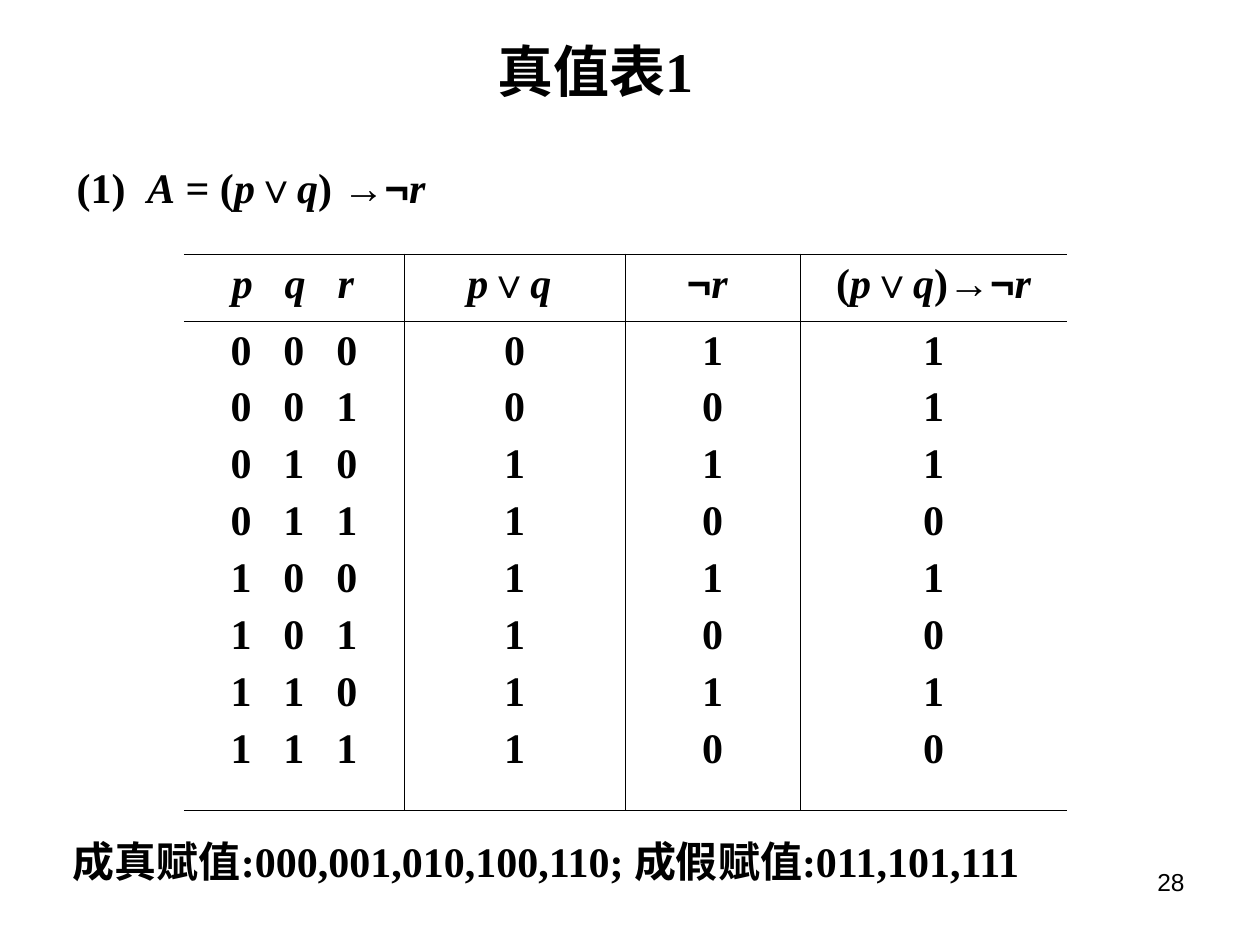
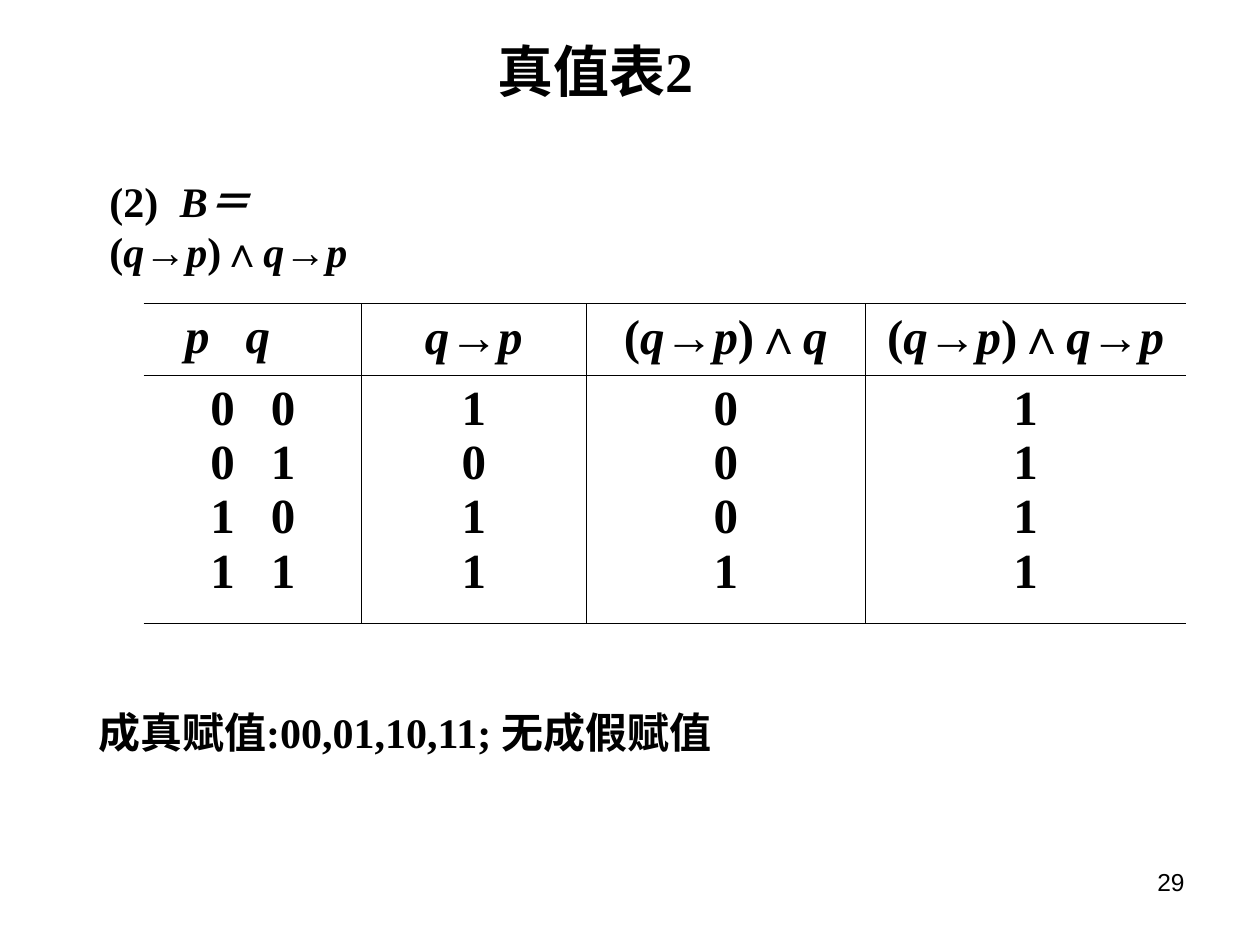
from itertools import groupby

from lxml import etree
from pptx import Presentation
from pptx.dml.color import RGBColor
from pptx.enum.text import MSO_ANCHOR, MSO_AUTO_SIZE, PP_ALIGN
from pptx.oxml.ns import qn
from pptx.util import Inches, Pt

LEFT, CENTER, RIGHT = PP_ALIGN.LEFT, PP_ALIGN.CENTER, PP_ALIGN.RIGHT
MIDDLE, TOP = MSO_ANCHOR.MIDDLE, MSO_ANCHOR.TOP
NO_AUTOFIT = MSO_AUTO_SIZE.NONE

COLORS = {"text": "000000", "rule": "000000"}
SERIF, SANS = "Times New Roman", "Arial"
OPERATORS = "∨∧→¬"
VARIABLES = "ABpqr＝"
TITLE_ONLY = 5
FIRST_NUMBER = 28
THIN, THICK = 0.45, 1.08

TITLE_BOX = (3.85, 0.24, 2.1, 0.64)
NUMBER_BOX = (7.17, 6.83, 2.33, 0.52)
FORMULA_TAB = 0.56

# Each row: the assignment of the variables, then the value of every formula.
SLIDES = [
    {
        "title": "真值表1",
        "formula": "(1)\tA = (p∨q) →¬r",
        "formula_box": (0.51, 1.23, 8.5, 0.5),
        "result": "成真赋值:000,001,010,100,110; 成假赋值:011,101,111",
        "result_box": (0.48, 6.58, 8.1, 0.5),
        "headers": ["pqr", "p∨q ", "¬r ", "(p∨q)→¬r"],
        "rows": ["000 0 1 1", "001 0 0 1", "010 1 1 1", "011 1 0 0",
                 "100 1 1 1", "101 1 0 0", "110 1 1 1", "111 1 0 0"],
        "corner": (1.46, 2.02),
        "widths": [1.75, 1.75, 1.39, 2.12],
        "heights": [0.53, 3.88],
        "size": 24,
        "space_before": 6,
        "top_rule": THICK,
        "insets": (0.38, 0.37),
        "variable_step": 0.42,
    },
    {
        "title": "真值表2",
        "formula": "(2)\tB＝(q→p)∧q→p",
        "formula_box": (0.77, 1.54, 3.01, 0.5),
        "result": "成真赋值:00,01,10,11; 无成假赋值",
        "result_box": (0.68, 5.56, 5.25, 0.5),
        "headers": ["pq", "q→p", "(q→p)∧q", "(q→p)∧q→p"],
        "rows": ["00 1 0 1", "01 0 0 1", "10 1 0 1", "11 1 1 1"],
        "corner": (1.14, 2.41),
        "widths": [1.73, 1.78, 2.22, 2.54],
        "heights": [0.57, 1.97],
        "size": 28,
        "space_before": 0,
        "top_rule": THIN,
        "insets": (0.33, 0.53),
        "variable_step": 0.48,
    },
]


def symbol_kind(character):
    if character in OPERATORS:
        return "operator"
    return "variable" if character in VARIABLES else "plain"


def set_tabs(paragraph, positions):
    properties = paragraph._p.get_or_add_pPr()
    tab_list = etree.SubElement(properties, qn("a:tabLst"))
    for position in positions:
        etree.SubElement(tab_list, qn("a:tab"), pos=str(Inches(position)), algn="l")


def write_text(frame, lines, size=24, font=SERIF, bold=True, align=LEFT,
               space_before=0, tabs=()):
    """Fill a frame, setting variables in italics and operators in the sans font."""
    for index, line in enumerate(lines):
        paragraph = frame.add_paragraph() if index else frame.paragraphs[0]
        paragraph.alignment = align
        paragraph.space_before = Pt(space_before)
        if tabs:
            set_tabs(paragraph, tabs)
        for kind, characters in groupby(line, symbol_kind):
            run = paragraph.add_run()
            run.text = "".join(characters)
            run.font.name = SANS if kind == "operator" else font
            run.font.size = Pt(size)
            run.font.bold = bold
            run.font.italic = kind == "variable"
            run.font.color.rgb = RGBColor.from_string(COLORS["text"])


def add_text(slide, box, text, anchor=MIDDLE, wrap=True, **text_format):
    frame = slide.shapes.add_textbox(*map(Inches, box)).text_frame
    frame.word_wrap = wrap
    frame.vertical_anchor = anchor
    write_text(frame, [text], **text_format)


def add_title(slide, text):
    title = slide.shapes.title
    title.left, title.top, title.width, title.height = map(Inches, TITLE_BOX)
    frame = title.text_frame
    frame.auto_size = NO_AUTOFIT
    frame.vertical_anchor = TOP
    write_text(frame, [text], size=32)


def set_borders(cell, **widths):
    """Draw the sides L, R, T and B in points; a width of 0 hides the side."""
    properties = cell._tc.get_or_add_tcPr()
    for side, width in widths.items():
        line = etree.SubElement(properties, qn(f"a:ln{side}"), w=str(Pt(width)))
        if width:
            fill = etree.SubElement(line, qn("a:solidFill"))
            etree.SubElement(fill, qn("a:srgbClr"), val=COLORS["rule"])
        else:
            etree.SubElement(line, qn("a:noFill"))


def add_truth_table(slide, content):
    widths, heights = content["widths"], content["heights"]
    box = (*content["corner"], sum(widths), sum(heights))
    table = slide.shapes.add_table(len(heights), len(widths), *map(Inches, box)).table
    table.first_row = table.horz_banding = False
    for column, width in zip(table.columns, widths):
        column.width = Inches(width)
    for row, height in zip(table.rows, heights):
        row.height = Inches(height)

    values = list(zip(*(row.split() for row in content["rows"])))
    tabs = [content["variable_step"] * step
            for step in range(1, len(content["headers"][0]))]
    last_column = len(widths) - 1
    for column_index, header in enumerate(content["headers"]):
        for row_index, lines in enumerate(([header], values[column_index])):
            cell = table.cell(row_index, column_index)
            set_borders(cell,
                        L=THIN if column_index else 0,
                        R=THIN if column_index < last_column else 0,
                        T=THIN if row_index else content["top_rule"],
                        B=THIN)
            cell.fill.background()
            text_format = {"size": content["size"],
                           "space_before": content["space_before"]}
            if column_index == 0:
                cell.margin_left = Inches(content["insets"][row_index])
                lines = ["\t".join(line) for line in lines]
                text_format["tabs"] = tabs
            else:
                text_format["align"] = CENTER
            write_text(cell.text_frame, lines, **text_format)


def main():
    presentation = Presentation()
    presentation.slide_width, presentation.slide_height = Inches(10), Inches(7.5)
    for number, content in enumerate(SLIDES, FIRST_NUMBER):
        slide = presentation.slides.add_slide(presentation.slide_layouts[TITLE_ONLY])
        add_title(slide, content["title"])
        add_text(slide, content["formula_box"], content["formula"], tabs=[FORMULA_TAB])
        add_truth_table(slide, content)
        add_text(slide, content["result_box"], content["result"], wrap=False)
        add_text(slide, NUMBER_BOX, str(number), anchor=TOP, size=14, font=SANS,
                 bold=False, align=RIGHT)
    presentation.save("out.pptx")


if __name__ == "__main__":
    main()
